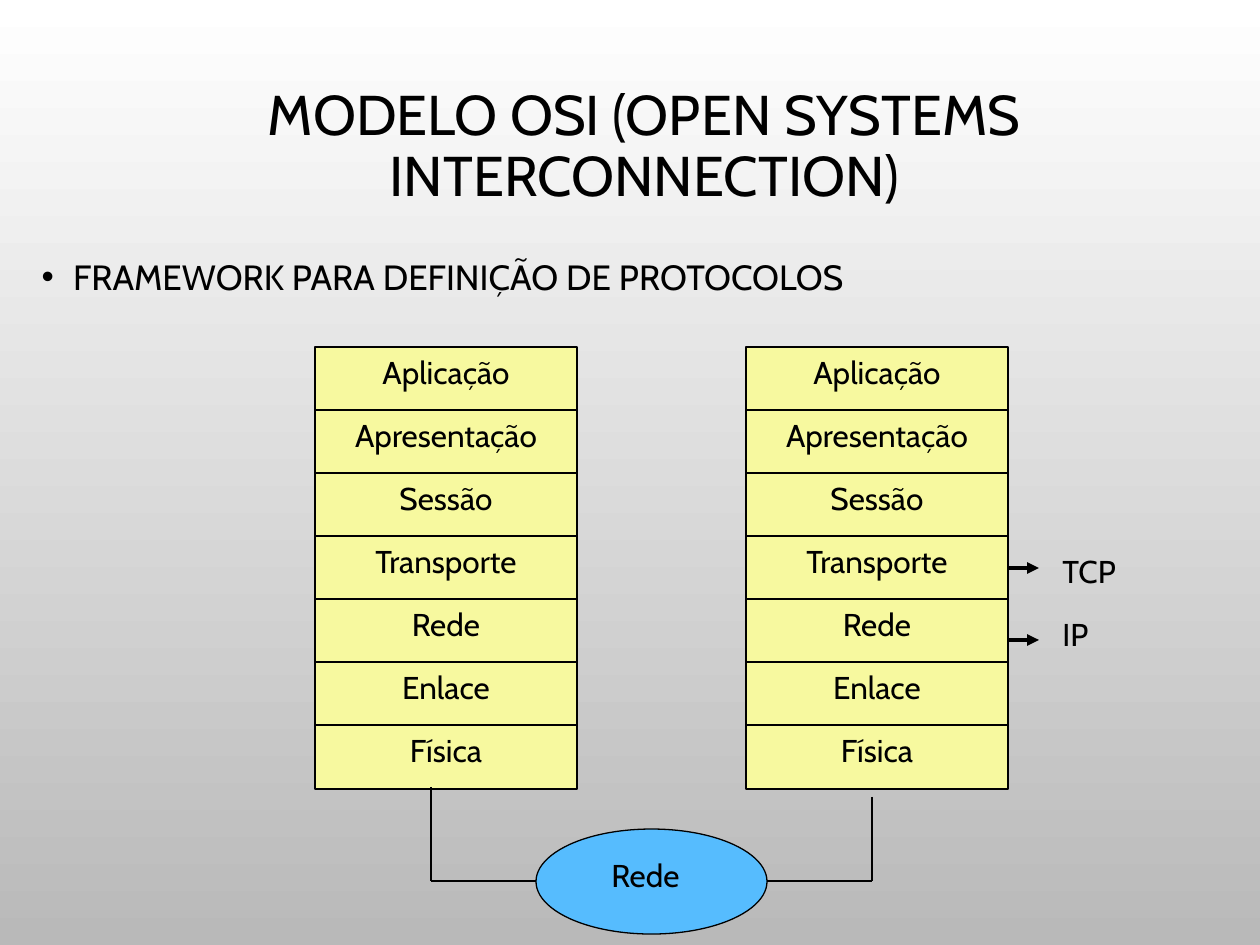
from lxml import etree
from pptx import Presentation
from pptx import util as u
from pptx.dml import color
from pptx.enum import shapes, text
from pptx.oxml import ns

SCALE = 914400 / 126
FONT = "Cabin"
BLACK, YELLOW, BLUE = "000000", "F7F99F", "56BCFE"
LAYERS = ["Aplicação", "Apresentação", "Sessão", "Transporte", "Rede", "Enlace", "Física"]
ROW_STEP, ROW_HEIGHT = 63, 64


def px(value):
    return u.Emu(round(value * SCALE))


def rgb(value):
    return color.RGBColor.from_string(value)


def set_all(target, values):
    for name, value in values.items():
        setattr(target, name, value)


def place(shape, box):
    set_all(shape, dict(zip(("left", "top", "width", "height"), map(px, box))))


def write(shape, words, size, para_format, anchor=text.MSO_ANCHOR.TOP):
    frame = shape.text_frame
    set_all(frame, {"word_wrap": True, "auto_size": text.MSO_AUTO_SIZE.NONE,
                    "vertical_anchor": anchor})
    para = frame.paragraphs[0]
    set_all(para, para_format)
    span = para.add_run()
    span.text = words
    set_all(span.font, {"name": FONT, "size": u.Pt(size)})
    span.font.color.rgb = rgb(BLACK)
    return para


def add_block(page, kind, box, fill, line_width):
    shape = page.shapes.add_shape(kind, *map(px, box))
    shape.shadow.inherit = False
    shape.fill.solid()
    shape.fill.fore_color.rgb = rgb(fill)
    if line_width:
        shape.line.color.rgb = rgb(BLACK)
        shape.line.width = u.Pt(line_width)
    else:
        shape.line.fill.background()
    return shape


def add_line(page, start, end, width, arrow=False):
    line = page.shapes.add_connector(shapes.MSO_CONNECTOR.STRAIGHT, *map(px, start + end))
    line.line.color.rgb = rgb(BLACK)
    line.line.width = u.Pt(width)
    if arrow:
        etree.SubElement(line.line._get_or_add_ln(), ns.qn("a:tailEnd"), type="triangle")
    etree.SubElement(line._element.spPr, ns.qn("a:effectLst"))
    return line


def add_background(page):
    fill = page.background.fill
    fill.gradient()
    fill.gradient_angle = 270
    for stop, value in zip(fill.gradient_stops, ("FFFFFF", "B9B9B9")):
        stop.color.rgb = rgb(value)


def add_title(page, box):
    title = page.shapes.title
    place(title, box)
    write(title, "MODELO OSI (OPEN SYSTEMS INTERCONNECTION)", 32,
          {"alignment": text.PP_ALIGN.CENTER, "line_spacing": 0.9}, text.MSO_ANCHOR.MIDDLE)


def add_body(page, box):
    body = page.placeholders[1]
    place(body, box)
    para = write(body, "FRAMEWORK PARA DEFINIÇÃO DE PROTOCOLOS", 20,
                 {"alignment": text.PP_ALIGN.JUSTIFY, "line_spacing": 1.2,
                  "space_before": u.Pt(10)})
    properties = para._p.get_or_add_pPr()
    properties.set("marL", str(u.Inches(0.25)))
    properties.set("indent", str(-u.Inches(0.25)))
    etree.SubElement(properties, ns.qn("a:buFont"), typeface="Arial")
    etree.SubElement(properties, ns.qn("a:buChar"), char="•")


def add_stack(page, left, top, width):
    rows = {}
    for index, layer in enumerate(LAYERS):
        box = (left, top + index * ROW_STEP, width, ROW_HEIGHT)
        rows[layer] = add_block(page, shapes.MSO_SHAPE.RECTANGLE, box, YELLOW, 1)
        write(rows[layer], layer, 18, {"alignment": text.PP_ALIGN.CENTER})
    return rows


def add_network(page, left, top, width, height):
    add_block(page, shapes.MSO_SHAPE.OVAL, (left, top, width, height), BLUE, 0.75)
    label = add_block(page, shapes.MSO_SHAPE.RECTANGLE,
                      (left + 63, top + 21, 126, 63), BLUE, 0)
    write(label, "Rede", 18, {"alignment": text.PP_ALIGN.LEFT})
    middle = top + height // 2
    for side, outer, rise in ((left, left - 105, 94), (left + width, left + width + 105, 84)):
        add_line(page, (outer, middle - rise), (outer, middle), 0.75)
        add_line(page, (outer, middle), (side, middle), 0.75)


def add_protocols(page, left, top, rows):
    for index, name in enumerate(("TCP", "IP")):
        label = page.shapes.add_textbox(*map(px, (left + 42, top + index * ROW_STEP, 105, 63)))
        write(label, name, 18, {"alignment": text.PP_ALIGN.LEFT})
    level = top + 22
    arrow = add_line(page, (left, level), (left + 31, level), 2.25, arrow=True)
    arrow.begin_connect(rows["Transporte"], 3)
    arrow.end_y = arrow.begin_y
    add_line(page, (left, top + 94), (left + 31, top + 94), 2.25, arrow=True)


def main():
    deck = Presentation()
    set_all(deck, {"slide_width": px(1260), "slide_height": px(945)})
    page = deck.slides.add_slide(deck.slide_layouts[1])
    add_background(page)
    add_title(page, (29, 69, 1231, 158))
    add_body(page, (29, 241, 1075, 84))
    add_stack(page, 315, 347, 262)
    receiver = add_stack(page, 746, 347, 262)
    add_network(page, 536, 829, 231, 105)
    add_protocols(page, 1008, 546, receiver)
    deck.save("out.pptx")


if __name__ == "__main__":
    main()
